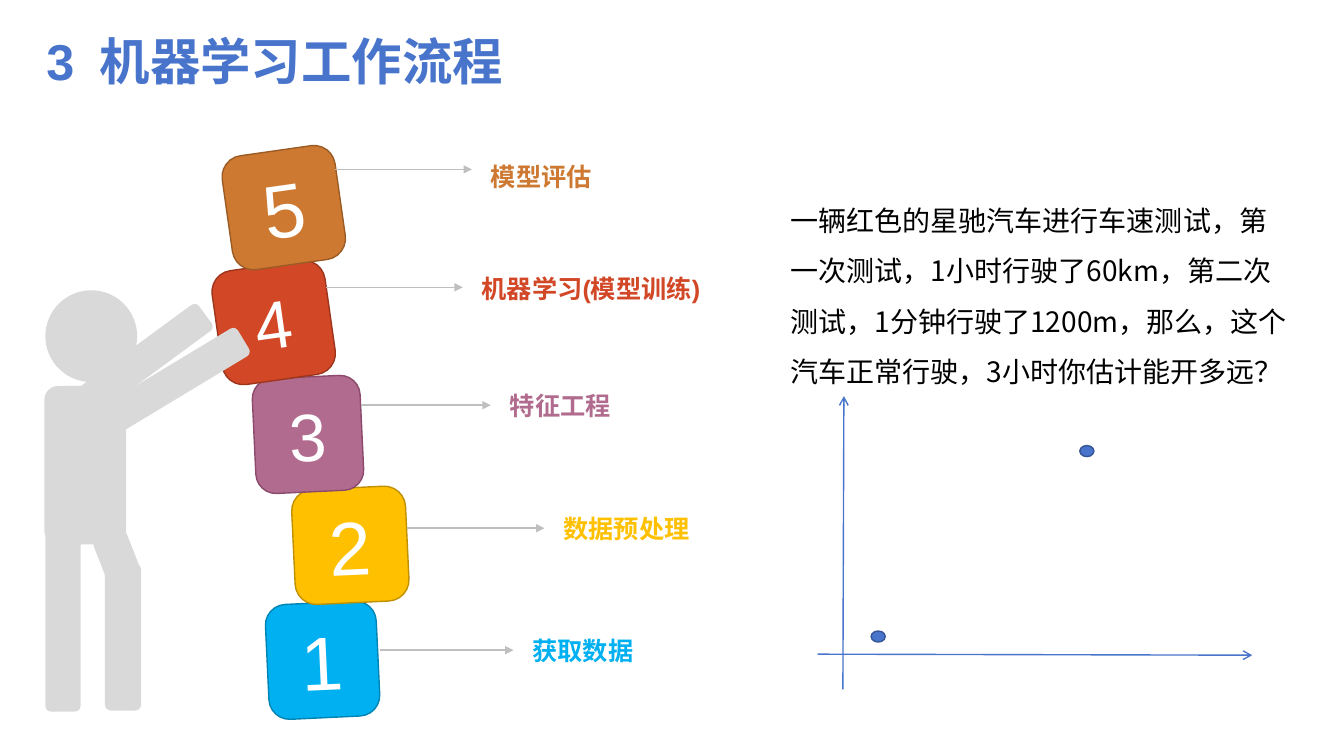
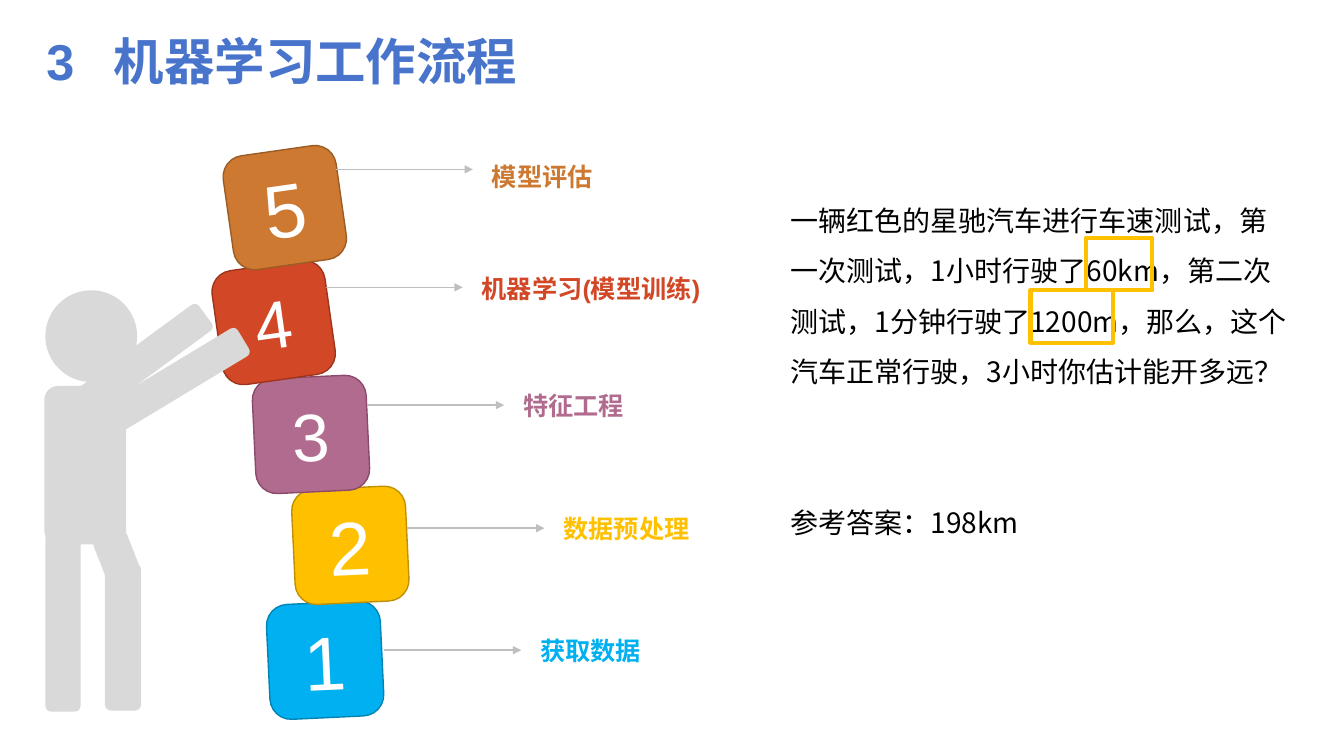
"""Builds two slides on the machine learning workflow."""
from lxml import etree
from pptx import Presentation
from pptx.dml.color import RGBColor
from pptx.enum.shapes import MSO_CONNECTOR, MSO_SHAPE
from pptx.enum.text import MSO_ANCHOR, PP_ALIGN
from pptx.oxml.ns import qn
from pptx.util import Inches, Pt

ROUND, OVAL = MSO_SHAPE.ROUNDED_RECTANGLE, MSO_SHAPE.OVAL
RECT, DOT = MSO_SHAPE.RECTANGLE, MSO_SHAPE.FLOWCHART_CONNECTOR
STRAIGHT = MSO_CONNECTOR.STRAIGHT
MIDDLE, CENTER = MSO_ANCHOR.MIDDLE, PP_ALIGN.CENTER

BLUE = RGBColor(0x48, 0x74, 0xCB)
NAVY = RGBColor(0x35, 0x56, 0x96)
GOLD = RGBColor(0xFF, 0xC0, 0x00)
GRAY = RGBColor(0xD9, 0xD9, 0xD9)
SILVER = RGBColor(0xBF, 0xBF, 0xBF)
BLACK = RGBColor(0, 0, 0)
WHITE = RGBColor(0xFF, 0xFF, 0xFF)
SKY, SKY_EDGE = RGBColor(0x00, 0xB0, 0xF0), RGBColor(0x00, 0x84, 0xB4)
GOLD_EDGE = RGBColor(0xBF, 0x90, 0x00)
PLUM, PLUM_EDGE = RGBColor(0xB1, 0x6B, 0x8E), RGBColor(0x8B, 0x4A, 0x6B)
RED, RED_EDGE = RGBColor(0xD2, 0x47, 0x26), RGBColor(0x9D, 0x35, 0x1D)
RUST, RUST_EDGE = RGBColor(0xCE, 0x79, 0x32), RGBColor(0x9B, 0x5B, 0x25)

LATIN, HAN = "Arial", "Noto Sans CJK SC"
TITLE = "机器学习工作流程"
STORY = ("一辆红色的星驰汽车进行车速测试，第一次测试，1小时行驶了60km，"
         "第二次测试，1分钟行驶了1200m，那么，这个汽车正常行驶，3小时你估计能开多远？")
ANSWER = "参考答案：198km"

# number, label, fill, edge, size, turn, top, reach, arrow y, label top, spacing
STEPS = [
    ("1", "获取数据", SKY, SKY_EDGE, 54, 357.3, 5.98, 1.15, 6.45, 6.16, 1.3),
    ("2", "数据预处理", GOLD, GOLD_EDGE, 54, 357.3, 4.84, 1.13, 5.24, 4.95, 1.3),
    ("3", "特征工程", PLUM, PLUM_EDGE, 48, 357.3, 3.74, 1.12, 4.02, 3.73, 1.3),
    ("4", "机器学习(模型训练)", RED, RED_EDGE, 48, 351.9, 2.63, 1.08, 2.85, 2.57, 1.3),
    ("5", "模型评估", RUST, RUST_EDGE, 54, 351.9, 1.49, 1.07, 1.68, 1.4, 1.5),
]
CUBE, TALL, ARROW, GAP = 1.13, 1.14, 1.36, 0.09

PERSON = [
    (ROUND, (0.44, 3.83, 0.81, 1.57), 0, None),
    (ROUND, (0.45, 5.28, 0.35, 1.78), 0, None),
    (ROUND, (0.98, 5.25, 0.35, 0.53), 338.6, 0.296),
    (ROUND, (1.04, 5.59, 0.36, 1.46), 0, None),
    (ROUND, (1.26, 2.81, 0.32, 1.53), 53.7, None),
    (ROUND, (1.6, 3, 0.32, 1.53), 58.9, None),
    (OVAL, (0.45, 2.88, 0.91, 0.91), 0, None),
]

# cube left, cube width, label width
SLIDES = [
    {"tab": 0.53, "text": [STORY],
     "cubes": [(2.65, 1.1, 1.49), (2.91, CUBE, 1.53), (2.52, 1.07, 1.9),
               (2.15, CUBE, 2.46), (2.25, CUBE, 1.31)],
     "axes": [(8.11, 6.49, 12.42, 6.5), (8.36, 6.84, 8.37, 3.93)],
     "dots": [(8.64, 6.26, 0.14, 0.11), (10.71, 4.42, 0.14, 0.11)],
     "marks": []},
    {"tab": 0.67, "text": [STORY, ANSWER],
     "cubes": [(left, CUBE, 3.72) for left in (2.66, 2.91, 2.52, 2.15, 2.26)],
     "axes": [], "dots": [],
     "marks": [(10.77, 2.36, 0.66, 0.52), (10.22, 2.88, 0.82, 0.52)]},
]


def add_run(para, text, size, color, bold=False, face=LATIN):
    """Adds one styled run."""
    run = para.add_run()
    run.text = text
    font = run.font
    font.size, font.bold, font.name = Pt(size), bold, face
    font.color.rgb = color
    etree.SubElement(run._r.get_or_add_rPr(), qn("a:ea")).set("typeface", HAN)


def add_box(slide, at):
    """Adds a wrapping text box and returns its frame."""
    frame = slide.shapes.add_textbox(*map(Inches, at)).text_frame
    frame.word_wrap = True
    return frame


def add_shape(shapes, kind, at, fill=None, edge=None, width=1, turn=0, adj=None):
    """Adds a flat preset shape."""
    shape = shapes.add_shape(kind, *map(Inches, at))
    shape.shadow.inherit = False
    shape.rotation = turn
    if adj is not None:
        shape.adjustments[0] = adj
    if fill is None:
        shape.fill.background()
    else:
        shape.fill.solid()
        shape.fill.fore_color.rgb = fill
    if edge is None:
        shape.line.fill.background()
    else:
        shape.line.color.rgb = edge
        shape.line.width = Pt(width)
    return shape


def add_arrow(slide, ends, color, head):
    """Adds a thin arrow between two points."""
    line = slide.shapes.add_connector(STRAIGHT, *map(Inches, ends))
    line.line.color.rgb = color
    line.line.width = Pt(1)
    tail = etree.SubElement(line.line._get_or_add_ln(), qn("a:tailEnd"))
    tail.set("type", head)
    etree.SubElement(line._element.spPr, qn("a:effectLst"))


def add_step(slide, step, place):
    """Adds a numbered cube, its arrow and its label."""
    num, label, fill, edge, size, turn, top, reach, level, above, space = step
    left, wide, room = place
    scale = wide / CUBE
    cube = add_shape(slide.shapes, ROUND, (left, top, wide, TALL), fill, edge,
                     turn=turn, adj=0.186)
    cube.text_frame.vertical_anchor = MIDDLE
    para = cube.text_frame.paragraphs[0]
    para.alignment = CENTER
    add_run(para, num, size, WHITE)
    start = left + reach * scale
    end = start + ARROW * scale
    add_arrow(slide, (start, level, end, level), SILVER, "triangle")
    para = add_box(slide, (end + GAP, above, room, 0.57)).paragraphs[0]
    para.line_spacing = space
    add_run(para, label, 18, fill, True)


def add_person(slide):
    """Adds the grey figure that holds the cubes."""
    group = slide.shapes.add_group_shape()
    for kind, at, turn, adj in PERSON:
        add_shape(group.shapes, kind, at, GRAY, turn=turn, adj=adj)


def add_story(slide, texts):
    """Adds the exercise and its answer."""
    frame = add_box(slide, (7.74, 1.8, 5.18, 4.95))
    for i, text in enumerate(texts):
        para = frame.add_paragraph() if i else frame.paragraphs[0]
        para.line_spacing = 1.5
        if i:
            para.space_before = Pt(72)
        add_run(para, text, 20, BLACK, face=HAN)


def add_title(slide, tab):
    """Adds the chapter number and title."""
    frame = add_box(slide, (0.46, 0.21, 12, 0.77))
    frame.margin_left = frame.margin_right = 0
    frame.margin_top = frame.margin_bottom = 0
    frame.vertical_anchor = MIDDLE
    para = frame.paragraphs[0]
    tabs = etree.SubElement(para._p.get_or_add_pPr(), qn("a:tabLst"))
    stop = etree.SubElement(tabs, qn("a:tab"))
    stop.set("pos", str(Inches(tab)))
    stop.set("algn", "l")
    add_run(para, "3\t" + TITLE, 36, BLUE, True)


def main():
    """Builds and saves the deck."""
    deck = Presentation()
    deck.slide_width, deck.slide_height = Inches(13.33), Inches(7.5)
    for page in SLIDES:
        slide = deck.slides.add_slide(deck.slide_layouts[6])
        for step, place in zip(STEPS, page["cubes"]):
            add_step(slide, step, place)
        add_person(slide)
        add_story(slide, page["text"])
        for ends in page["axes"]:
            add_arrow(slide, ends, BLUE, "arrow")
        for at in page["dots"]:
            add_shape(slide.shapes, DOT, at, BLUE, NAVY)
        for at in page["marks"]:
            add_shape(slide.shapes, RECT, at, edge=GOLD, width=3)
        add_title(slide, page["tab"])
    deck.save("out.pptx")


if __name__ == "__main__":
    main()
